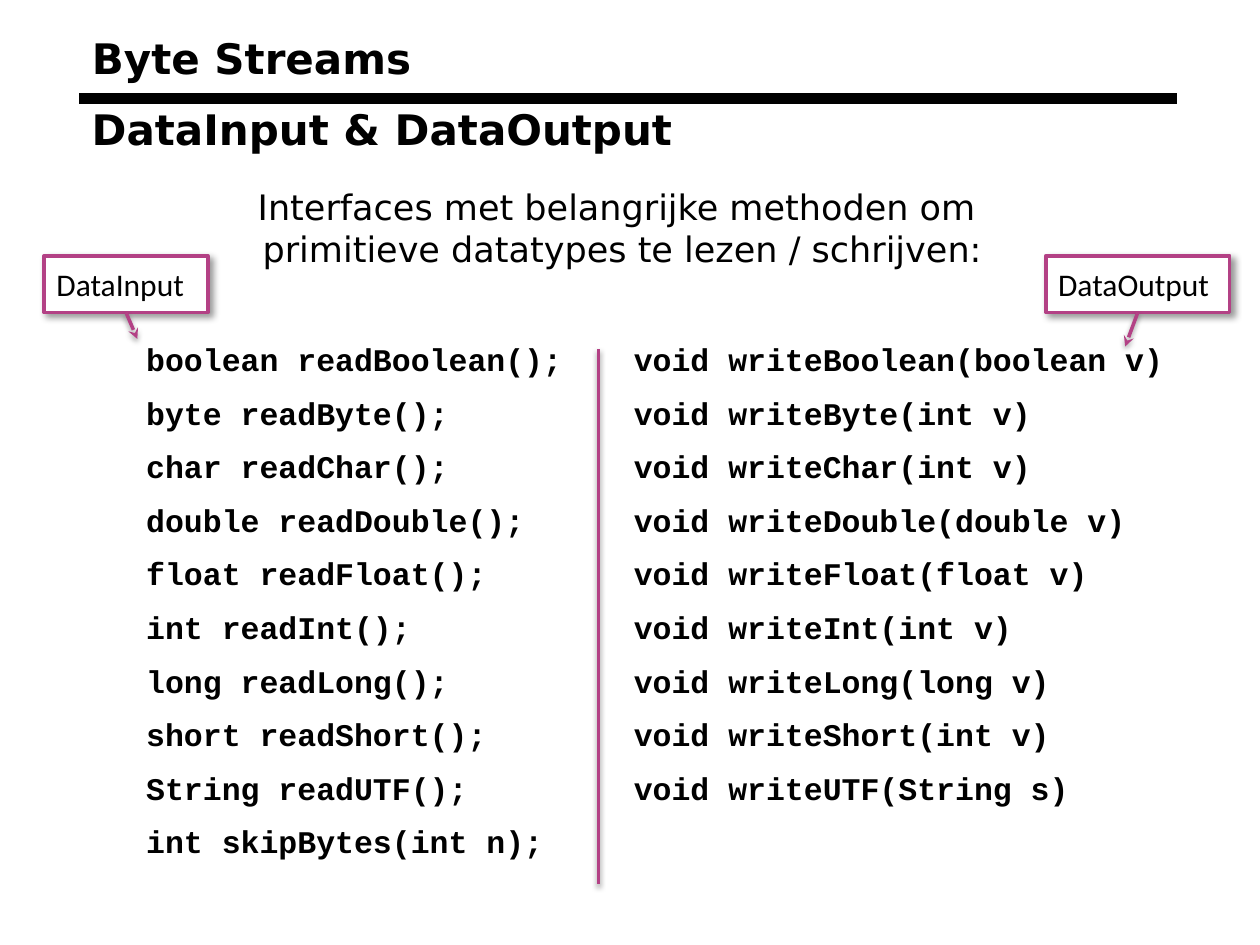
"""Build the slide on the DataInput and DataOutput interfaces."""
from dataclasses import dataclass

from lxml.etree import SubElement
from pptx import Presentation
from pptx.dml.color import RGBColor
from pptx.enum.shapes import MSO_CONNECTOR as Connector, MSO_SHAPE as Shape
from pptx.enum.text import MSO_ANCHOR as Anchor, PP_ALIGN as Align
from pptx.oxml.ns import qn
from pptx.util import Inches, Pt


@dataclass(frozen=True)
class Theme:
    black: RGBColor = RGBColor(0, 0, 0)
    white: RGBColor = RGBColor(255, 255, 255)
    accent: RGBColor = RGBColor(0xB3, 0x41, 0x85)
    heading_font: str = "DejaVu Sans"
    code_font: str = "Courier New"
    label_font: str = "Calibri"
    heading: int = 24
    body: int = 20
    small: int = 18


theme = Theme()


def style_text(frame, font, size, bold=False, align=Align.LEFT):
    for para in frame.paragraphs:
        para.alignment = align
        for span in para.runs:
            span.font.name = font
            span.font.size = Pt(size)
            span.font.bold = bold
            span.font.color.rgb = theme.black


def style_line(item, color, width, shadow=None):
    item.line.color.rgb = color
    item.line.width = Pt(width)
    effects = SubElement(item._element.spPr, qn("a:effectLst"))
    if shadow:
        blur, distance, angle, opacity = shadow
        outer = SubElement(effects, qn("a:outerShdw"), blurRad=str(Pt(blur)),
                           dist=str(Pt(distance)), dir=str(angle * 60000),
                           algn="tl", rotWithShape="0")
        color_node = SubElement(outer, qn("a:srgbClr"), val=str(theme.black))
        SubElement(color_node, qn("a:alpha"), val=str(opacity * 1000))


label_shadow = (4, 3, 45, 40)
line_shadow = (3.1, 1.6, 90, 38)

deck = Presentation()
deck.slide_width, deck.slide_height = Inches(10), Inches(7.5)
page = deck.slides.add_slide(deck.slide_layouts[5])
shapes = page.shapes

title = shapes.title
title.left, title.top = Inches(0.63), Inches(0.14)
title.width, title.height = Inches(8.71), Inches(0.64)
title.text_frame.text = "Byte Streams"
title.text_frame.vertical_anchor = Anchor.MIDDLE
style_text(title.text_frame, theme.heading_font, theme.heading, True)

rule = shapes.add_connector(Connector.STRAIGHT, Inches(0.63), Inches(0.78),
                            Inches(9.34), Inches(0.78))
style_line(rule, theme.black, 6)

intro = shapes.add_textbox(Inches(1.58), Inches(1.42), Inches(6.72), Inches(0.84))
intro.text_frame.word_wrap = True
intro.text_frame.text = ("Interfaces met belangrijke methoden om \v"
                         "primitieve datatypes te lezen / schrijven:")
style_text(intro.text_frame, theme.heading_font, theme.body, align=Align.CENTER)

methods = [
    (4.69, 0.82, ["boolean readBoolean();", "byte readByte();", "char readChar();",
                  "double readDouble();", "float readFloat();", "int readInt();",
                  "long readLong();", "short readShort();", "String readUTF();",
                  "int skipBytes(int n);"]),
    (5.05, 0, ["void writeBoolean(boolean v)", "void writeByte(int v)",
               "void writeChar(int v)", "void writeDouble(double v)",
               "void writeFloat(float v)", "void writeInt(int v)",
               "void writeLong(long v)", "void writeShort(int v)",
               "void writeUTF(String s)"]),
]
table = shapes.add_table(1, 2, Inches(0.24), Inches(2.53),
                         Inches(9.74), Inches(4.78)).table
table.first_row = table.horz_banding = False
for index, (width, indent, signatures) in enumerate(methods):
    table.columns[index].width = Inches(width)
    cell = table.cell(0, index)
    cell.fill.background()
    cell.margin_top = cell.margin_bottom = Inches(0.07)
    cell.text_frame.text = "\n".join(signatures)
    style_text(cell.text_frame, theme.code_font, theme.small, True)
    for para in cell.text_frame.paragraphs:
        para.line_spacing = 1.5
        para._p.get_or_add_pPr().set("marL", str(Inches(indent)))

labels = [("DataInput", 0.35, 1.3, 1.09, 2.69),
          ("DataOutput", 8.3, 1.46, 8.93, 2.75)]
for name, left, width, tip_x, tip_y in labels:
    label = shapes.add_shape(Shape.RECTANGLE, Inches(left), Inches(2.03),
                             Inches(width), Inches(0.45))
    label.fill.solid()
    label.fill.fore_color.rgb = theme.white
    style_line(label, theme.accent, 2, label_shadow)
    label.text_frame.text = name
    style_text(label.text_frame, theme.label_font, theme.small)

    arrow = shapes.add_connector(Connector.STRAIGHT, Inches(left + width / 2),
                                 Inches(2.48), Inches(tip_x), Inches(tip_y))
    arrow.begin_connect(label, 2)
    style_line(arrow, theme.accent, 2, line_shadow)
    SubElement(arrow.line._get_or_add_ln(), qn("a:tailEnd"), type="stealth")

divider = shapes.add_connector(Connector.STRAIGHT, Inches(4.75), Inches(2.77),
                               Inches(4.75), Inches(7.02))
style_line(divider, theme.accent, 2, line_shadow)

subtitle = shapes.add_textbox(Inches(0.63), Inches(0.77), Inches(4.84), Inches(0.5))
subtitle.text_frame.word_wrap = False
subtitle.text_frame.text = "DataInput & DataOutput"
style_text(subtitle.text_frame, theme.heading_font, theme.heading, True)

deck.save("out.pptx")
